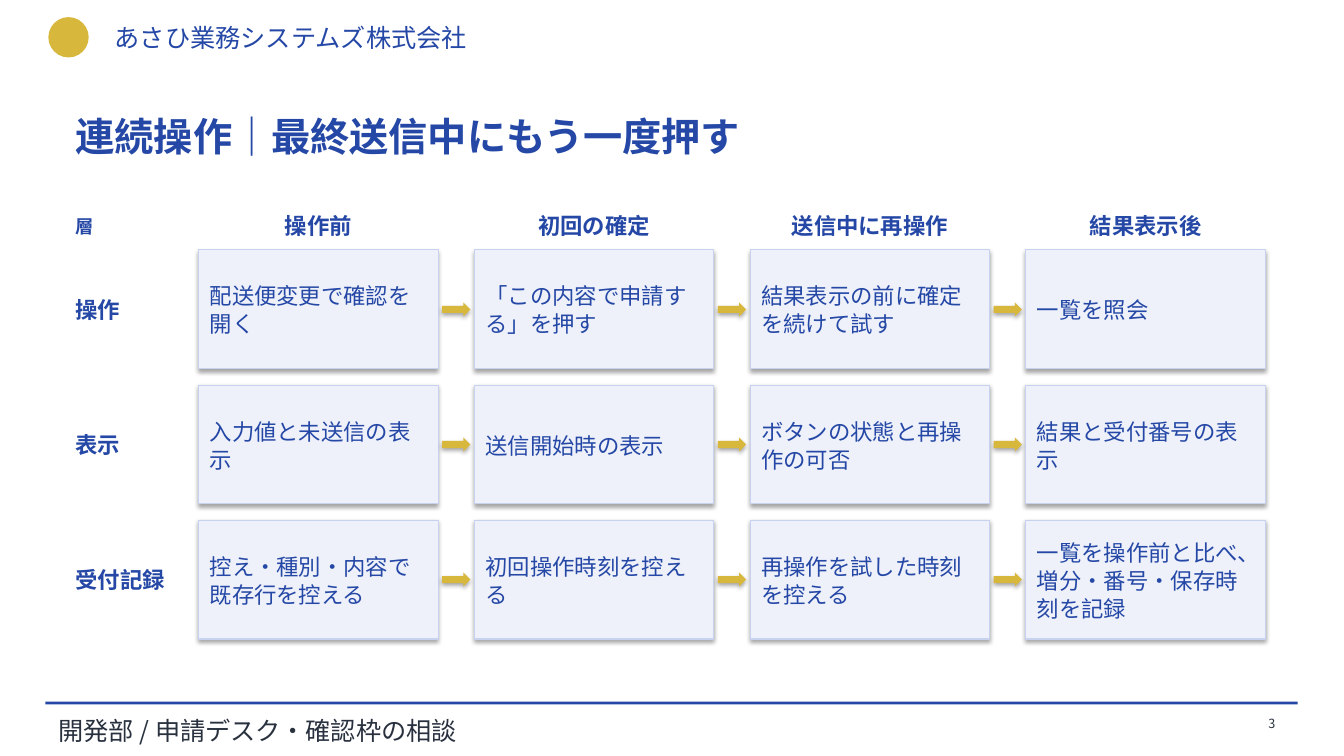
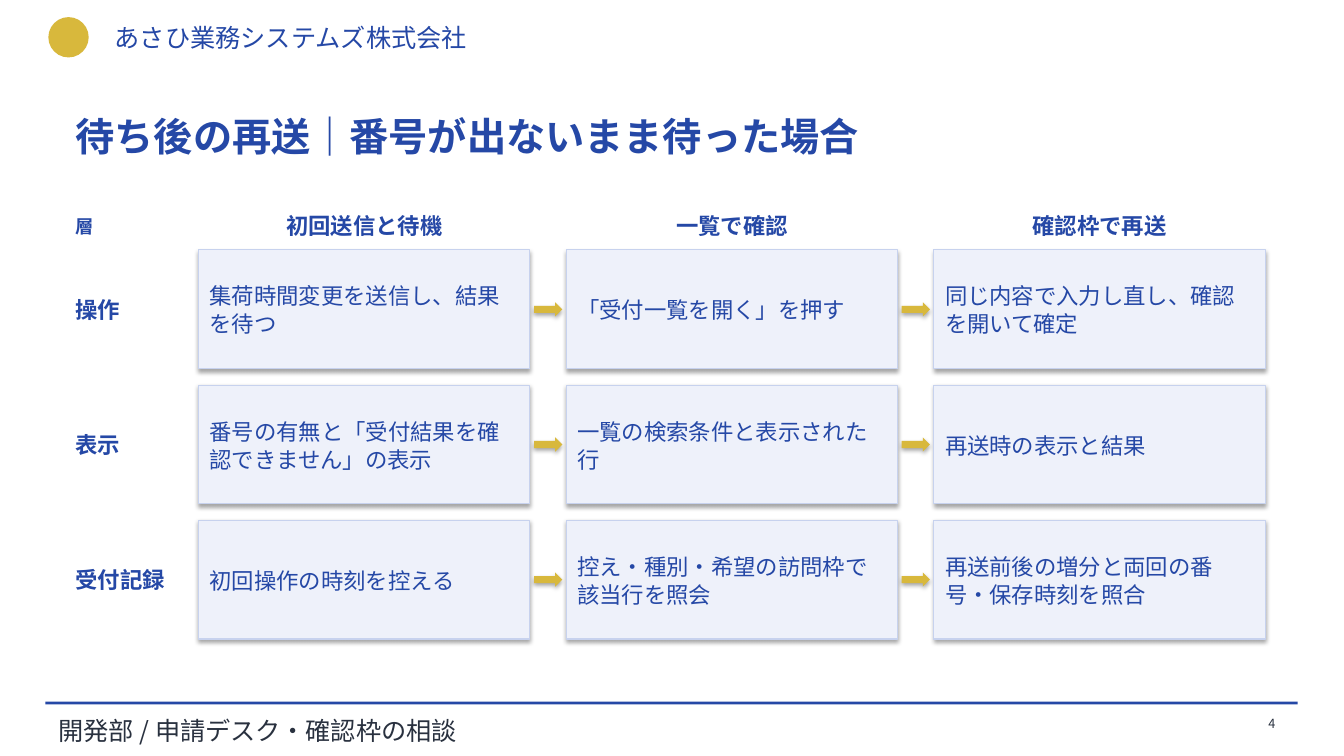
import pptx
import pptx.dml.color
import pptx.enum.shapes
import pptx.enum.text
import pptx.oxml.ns
import pptx.util
from lxml import etree

RGBColor = pptx.dml.color.RGBColor
BLUE = RGBColor(0x25, 0x48, 0xA6)
GOLD = RGBColor(0xD8, 0xB8, 0x3C)
PALE_BLUE = RGBColor(0xEE, 0xF1, 0xFA)
EDGE_BLUE = RGBColor(0xC7, 0xD2, 0xEE)
INK = RGBColor(0x29, 0x31, 0x3F)

FONT = "Noto Sans CJK JP"
SHAPES = pptx.enum.shapes.MSO_SHAPE
ALIGN = pptx.enum.text.PP_ALIGN
ANCHOR = pptx.enum.text.MSO_ANCHOR
AUTO_SIZE = pptx.enum.text.MSO_AUTO_SIZE

SLIDE_WIDTH, SLIDE_HEIGHT = 13.33, 7.5
FIRST_PAGE = 3
LABEL_LEFT, LABEL_WIDTH = 0.75, 1.1
GRID_LEFT, GRID_WIDTH, COLUMN_GAP = 1.97, 10.58, 0.36
HEADER_TOP, HEADER_HEIGHT = 2, 0.48
GRID_TOP, ROW_HEIGHT, ROW_GAP = 2.48, 1.18, 0.16
ARROW_WIDTH, ARROW_HEIGHT = 0.28, 0.14

TITLE_STYLE = {"size": 28, "bold": True, "color": BLUE}
HEADING_STYLE = {"size": 16, "bold": True, "color": BLUE}
CORNER_STYLE = {"size": 13, "bold": True, "color": BLUE}
CARD_STYLE = {"size": 16, "bold": False, "color": BLUE}
BRAND_STYLE = {"size": 18, "bold": False, "color": BLUE}
FOOTER_STYLE = {"size": 18, "bold": False, "color": INK}
PAGE_STYLE = {"size": 9, "bold": False, "color": INK}

ROW_LABELS = ["操作", "表示", "受付記録"]
FLOWS = [
    {
        "title": "連続操作｜最終送信中にもう一度押す",
        "columns": ["操作前", "初回の確定", "送信中に再操作", "結果表示後"],
        "rows": [
            ["配送便変更で確認を開く", "「この内容で申請する」を押す",
             "結果表示の前に確定を続けて試す", "一覧を照会"],
            ["入力値と未送信の表示", "送信開始時の表示",
             "ボタンの状態と再操作の可否", "結果と受付番号の表示"],
            ["控え・種別・内容で既存行を控える", "初回操作時刻を控える",
             "再操作を試した時刻を控える",
             "一覧を操作前と比べ、増分・番号・保存時刻を記録"],
        ],
    },
    {
        "title": "待ち後の再送｜番号が出ないまま待った場合",
        "columns": ["初回送信と待機", "一覧で確認", "確認枠で再送"],
        "rows": [
            ["集荷時間変更を送信し、結果を待つ", "「受付一覧を開く」を押す",
             "同じ内容で入力し直し、確認を開いて確定"],
            ["番号の有無と「受付結果を確認できません」の表示",
             "一覧の検索条件と表示された行", "再送時の表示と結果"],
            ["初回操作の時刻を控える", "控え・種別・希望の訪問枠で該当行を照会",
             "再送前後の増分と両回の番号・保存時刻を照合"],
        ],
    },
]


def inches(*lengths):
    return [pptx.util.Inches(length) for length in lengths]


def write_text(shape, text, style, align=ALIGN.LEFT, **frame_format):
    """Fill a shape with one styled paragraph; frame_format overrides the frame defaults."""
    frame = shape.text_frame
    defaults = {
        "word_wrap": True, "auto_size": AUTO_SIZE.NONE, "vertical_anchor": ANCHOR.MIDDLE,
        "margin_left": 0, "margin_right": 0, "margin_top": 0, "margin_bottom": 0,
    }
    for name, value in {**defaults, **frame_format}.items():
        setattr(frame, name, value)
    paragraph = frame.paragraphs[0]
    paragraph.alignment = align
    run = paragraph.add_run()
    run.text = text
    font_format = {"name": FONT, "size": pptx.util.Pt(style["size"]), "bold": style["bold"]}
    for name, value in font_format.items():
        setattr(run.font, name, value)
    run.font.color.rgb = style["color"]
    properties = run.font.color and run._r.get_or_add_rPr()
    east_asian = etree.SubElement(properties, pptx.oxml.ns.qn("a:ea"))
    east_asian.set("typeface", FONT)
    return paragraph


def add_label(slide, box, text, style, align=ALIGN.LEFT, **frame_format):
    label = slide.shapes.add_textbox(*inches(*box))
    write_text(label, text, style, align, **frame_format)
    return label


def add_block(slide, kind, box, fill, shadow=False):
    """Add a filled shape without outline; shadow keeps the soft theme shadow."""
    block = slide.shapes.add_shape(kind, *inches(*box))
    block.fill.solid()
    block.fill.fore_color.rgb = fill
    block.line.fill.background()
    if not shadow:
        block.shadow.inherit = False
    return block


def add_card(slide, box, text):
    card = add_block(slide, SHAPES.RECTANGLE, box, PALE_BLUE, shadow=True)
    card.line.color.rgb = EDGE_BLUE
    card.line.width = pptx.util.Pt(0.75)
    margin = pptx.util.Inches(0.11)
    paragraph = write_text(card, text, CARD_STYLE, margin_left=margin, margin_right=margin)
    paragraph.line_spacing = pptx.util.Pt(20)


def add_arrow(slide, gap_left, row_middle):
    box = (gap_left + (COLUMN_GAP - ARROW_WIDTH) / 2, row_middle - ARROW_HEIGHT / 2,
           ARROW_WIDTH, ARROW_HEIGHT)
    add_block(slide, SHAPES.RIGHT_ARROW, box, GOLD, shadow=True)


def add_flow_grid(slide, columns, rows):
    """Draw column heads, row labels, cards and the arrows between neighbouring cards."""
    card_width = (GRID_WIDTH - COLUMN_GAP * (len(columns) - 1)) / len(columns)
    lefts = [GRID_LEFT + index * (card_width + COLUMN_GAP) for index in range(len(columns))]
    add_label(slide, (LABEL_LEFT, HEADER_TOP, LABEL_WIDTH, HEADER_HEIGHT), "層", CORNER_STYLE)
    for left, heading in zip(lefts, columns):
        add_label(slide, (left, HEADER_TOP, card_width, HEADER_HEIGHT), heading,
                  HEADING_STYLE, ALIGN.CENTER)
    for row_index, (row_label, cards) in enumerate(zip(ROW_LABELS, rows)):
        top = GRID_TOP + row_index * (ROW_HEIGHT + ROW_GAP)
        add_label(slide, (LABEL_LEFT, top, LABEL_WIDTH, ROW_HEIGHT), row_label, HEADING_STYLE)
        for left, text in zip(lefts, cards):
            if left > GRID_LEFT:
                add_arrow(slide, left - COLUMN_GAP, top + ROW_HEIGHT / 2)
            add_card(slide, (left, top, card_width, ROW_HEIGHT), text)


def add_band_text(slide, box, text, style):
    margins = {"margin_left": 0.1, "margin_right": 0.1, "margin_top": 0.05, "margin_bottom": 0.05}
    frame_format = {name: pptx.util.Inches(value) for name, value in margins.items()}
    return add_label(slide, box, text, style, word_wrap=False, vertical_anchor=ANCHOR.TOP,
                     auto_size=AUTO_SIZE.SHAPE_TO_FIT_TEXT, **frame_format)


def move_bands_to_layout(slide, layout):
    """Build the header and footer bands on a slide, then hand them to its layout."""
    for placeholder in list(layout.placeholders):
        if placeholder.placeholder_format.type != pptx.enum.shapes.PP_PLACEHOLDER.TITLE:
            placeholder.element.getparent().remove(placeholder.element)
    bands = [
        add_block(slide, SHAPES.OVAL, (0.48, 0.17, 0.4, 0.4), GOLD),
        add_band_text(slide, (1.04, 0.17, 7, 0.34), "あさひ業務システムズ株式会社", BRAND_STYLE),
        add_block(slide, SHAPES.RECTANGLE, (0.45, 6.96, 12.42, 0.03), BLUE),
        add_band_text(slide, (0.48, 7.05, 10, 0.26), "開発部 / 申請デスク・確認枠の相談",
                      FOOTER_STYLE),
    ]
    for band in bands:
        layout.element.cSld.spTree.append(band.element)


def set_title(slide, text):
    title = slide.shapes.title
    title.left, title.top, title.width, title.height = inches(0.65, 0.85, 12, 1)
    margin = pptx.util.Inches(0.1)
    write_text(title, text, TITLE_STYLE, margin_left=margin, margin_right=margin)


def main():
    presentation = pptx.Presentation()
    presentation.slide_width, presentation.slide_height = inches(SLIDE_WIDTH, SLIDE_HEIGHT)
    layout = presentation.slide_layouts.get_by_name("Title Only")
    for page, flow in enumerate(FLOWS, start=FIRST_PAGE):
        slide = presentation.slides.add_slide(layout)
        if page == FIRST_PAGE:
            move_bands_to_layout(slide, layout)
        set_title(slide, flow["title"])
        add_flow_grid(slide, flow["columns"], flow["rows"])
        add_label(slide, (12.05, 7.03, 0.6, 0.3), str(page), PAGE_STYLE, ALIGN.RIGHT)
    presentation.save("out.pptx")


if __name__ == "__main__":
    main()
